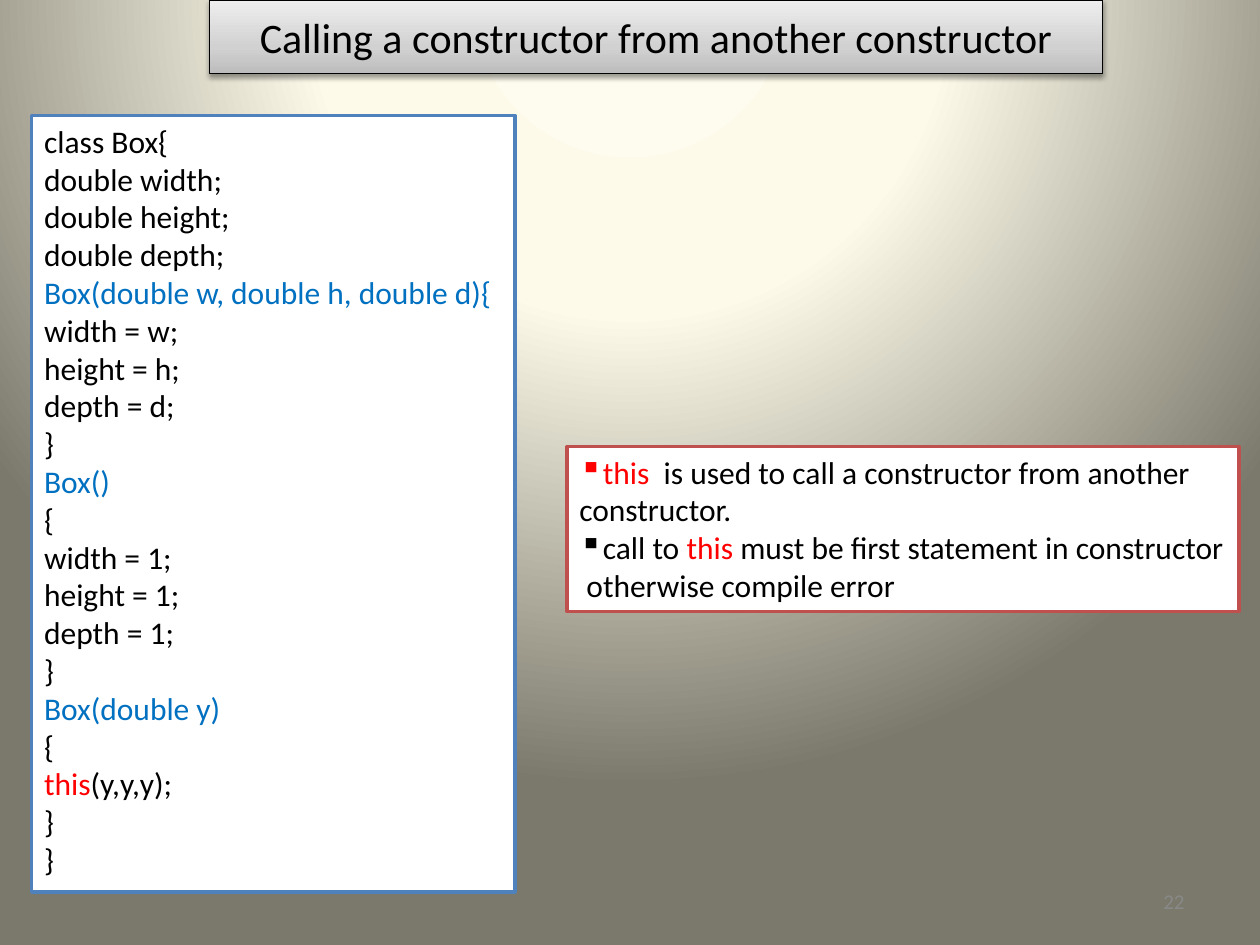
from lxml.etree import SubElement
from pptx import Presentation
from pptx.dml.color import RGBColor
from pptx.enum.shapes import MSO_SHAPE
from pptx.enum.text import MSO_ANCHOR, MSO_AUTO_SIZE, PP_ALIGN
from pptx.oxml.ns import qn
from pptx.util import Cm, Pt

COLORS = {
    "text": "000000", "paper": "FFFFFF", "keyword": "FF0000",
    "signature": "0070C0", "code_border": "4F81BD",
    "note_border": "C0504D", "page_number": "898989",
}
BACKGROUND_STOPS = [(0, "FEFCEE"), (40, "FDFAEA"), (100, "7B796B")]
TITLE_STOPS = [(0, "BDBDBD"), (35, "D1D1D1"), (100, "EEEEEE")]

CODE = """class Box{
double width;
double height;
double depth;
Box(double w, double h, double d){
width = w;
height = h;
depth = d;
}
Box()
{
width = 1;
height = 1;
depth = 1;
}
Box(double y)
{
this(y,y,y);
}
}"""
NOTES = [
    "this  is used to call a constructor from another constructor.",
    "call to this must be first statement in constructor",
    " otherwise compile error",
]
BULLETED_NOTES = 2


def rgb(name):
    return RGBColor.from_string(COLORS[name])


def add_xml(parent, tag, **attributes):
    return SubElement(parent, qn(tag), {key: str(value) for key, value in attributes.items()})


def color_runs(line):
    """Split a line into (text, colour name) runs around the keyword."""
    if line.startswith("Box("):
        return [(line, "signature")]
    before, keyword, after = line.partition("this")
    runs = [(before, "text"), (keyword, "keyword"), (after, "text")]
    return [run for run in runs if run[0]]


def make_gradient(solid_fill, stops):
    """Put a gradient where the solid fill stands and return it."""
    gradient = solid_fill.makeelement(qn("a:gradFill"), {"rotWithShape": "1"})
    stop_list = add_xml(gradient, "a:gsLst")
    for percent, color in stops:
        stop = add_xml(stop_list, "a:gs", pos=percent * 1000)
        add_xml(stop, "a:srgbClr", val=color)
    solid_fill.getparent().replace(solid_fill, gradient)
    return gradient


class SlideBuilder:
    font = "Calibri"

    def __init__(self, presentation):
        self.slide = presentation.slides.add_slide(presentation.slide_layouts[5])

    def background(self, stops):
        self.slide.background.fill.solid()
        solid_fill = next(self.slide.element.iter(qn("a:solidFill")))
        circle = add_xml(make_gradient(solid_fill, stops), "a:path", path="circle")
        add_xml(circle, "a:fillToRect", l=50000, t=-80000, r=50000, b=180000)

    def place(self, shape, area):
        for side, length in zip(("left", "top", "width", "height"), area):
            setattr(shape, side, Cm(length))

    def frame(self, shape, border, width):
        shape.fill.solid()
        shape.fill.fore_color.rgb = rgb("paper")
        shape.line.color.rgb = rgb(border)
        shape.line.width = Pt(width)

    def add_runs(self, paragraph, runs, size, align=PP_ALIGN.LEFT):
        paragraph.alignment = align
        for text, color in runs:
            run = paragraph.add_run()
            run.text = text
            for name, value in {"name": self.font, "size": Pt(size)}.items():
                setattr(run.font, name, value)
            run.font.color.rgb = rgb(color)

    def title(self, text, area, stops):
        title = self.slide.shapes.title
        self.place(title, area)
        self.frame(title, "text", 0.75)
        properties = title.element.spPr
        gradient = make_gradient(properties.find(qn("a:solidFill")), stops)
        add_xml(gradient, "a:lin", ang=270 * 60000, scaled=0)
        shadow = add_xml(add_xml(properties, "a:effectLst"), "a:outerShdw",
                         blurRad=Pt(3.1), dist=Pt(1.6), dir=90 * 60000, rotWithShape=0)
        add_xml(add_xml(shadow, "a:srgbClr", val=COLORS["text"]), "a:alpha", val=38000)
        title.text_frame.vertical_anchor = MSO_ANCHOR.MIDDLE
        self.add_runs(title.text_frame.paragraphs[0], [(text, "text")], 24, PP_ALIGN.CENTER)

    def text_panel(self, lines, area, border, bulleted=0):
        """Add a framed panel whose first `bulleted` lines carry a bullet."""
        panel = self.slide.shapes.add_shape(MSO_SHAPE.RECTANGLE, *map(Cm, area))
        panel.shadow.inherit = False
        self.frame(panel, border, 2)
        body = panel.text_frame
        settings = {"word_wrap": True, "vertical_anchor": MSO_ANCHOR.TOP,
                    "auto_size": MSO_AUTO_SIZE.SHAPE_TO_FIT_TEXT}
        for name, value in settings.items():
            setattr(body, name, value)
        for index, line in enumerate(lines):
            paragraph = body.add_paragraph() if index else body.paragraphs[0]
            self.add_runs(paragraph, color_runs(line), 18)
            if index < bulleted:
                add_xml(paragraph._p.get_or_add_pPr(), "a:buChar", char="▪")

    def page_number(self, number, area):
        label = self.slide.shapes.add_textbox(*map(Cm, area)).text_frame
        label.word_wrap = True
        label.vertical_anchor = MSO_ANCHOR.MIDDLE
        self.add_runs(label.paragraphs[0], [(number, "page_number")], 12, PP_ALIGN.RIGHT)


def main():
    presentation = Presentation()
    presentation.slide_width, presentation.slide_height = Cm(25.4), Cm(19.05)
    builder = SlideBuilder(presentation)
    builder.background(BACKGROUND_STOPS)
    builder.title("Calling a constructor from another constructor",
                  (4.23, 0, 17.99, 1.48), TITLE_STOPS)
    builder.text_panel(NOTES, (11.43, 9, 13.55, 3.33), "note_border", BULLETED_NOTES)
    builder.text_panel(CODE.splitlines(), (0.64, 2.33, 9.74, 15.65), "code_border")
    builder.page_number("22", (18.2, 17.66, 5.93, 1.01))
    presentation.save("out.pptx")


if __name__ == "__main__":
    main()
